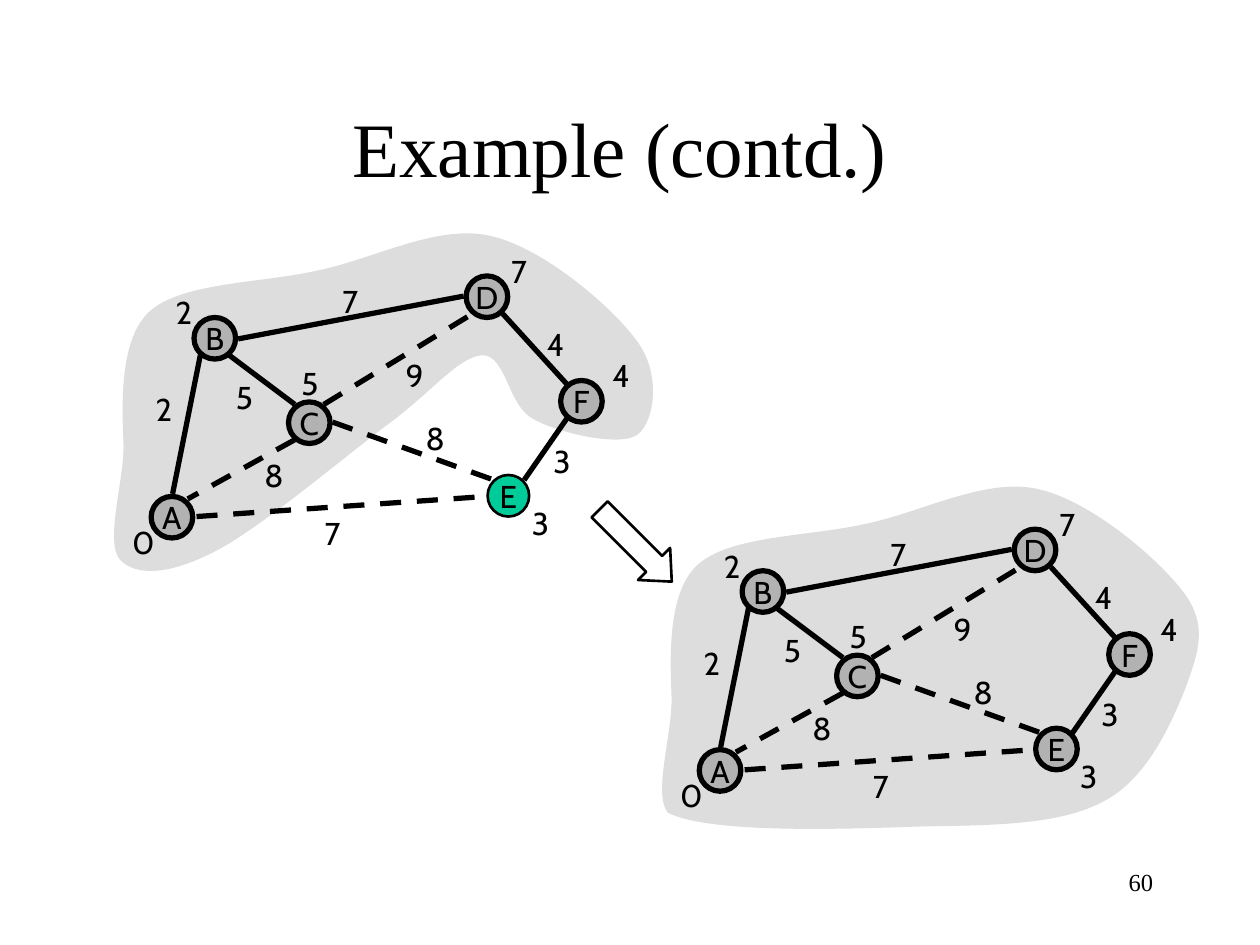
from lxml.etree import SubElement
from pptx import Presentation
from pptx.dml.color import RGBColor
from pptx.enum.dml import MSO_LINE
from pptx.enum.shapes import MSO_CONNECTOR, MSO_SHAPE
from pptx.enum.text import MSO_ANCHOR, MSO_AUTO_SIZE, PP_ALIGN
from pptx.oxml.ns import qn
from pptx.util import Inches, Pt

GRAPH_ORIGINS = [(0, 0), (4.35, 2.01)]
NODE_SIZE = 0.33

NODES = {
    "B": (1.54, 2.52),
    "D": (3.7, 2.19),
    "C": (2.29, 3.19),
    "A": (1.2, 3.94),
    "F": (4.45, 3.02),
    "E": (3.87, 3.77),
}
EDGES = [
    (1.82, 2.82, 2.34, 3.21, False),
    (2.34, 3.49, 1.49, 3.96, True),
    (1.59, 2.82, 1.37, 3.92, False),
    (2.64, 3.35, 3.92, 3.81, True),
    (1.56, 4.1, 3.86, 3.94, True),
    (1.89, 2.69, 3.68, 2.35, False),
    (2.57, 3.21, 3.75, 2.49, True),
    (4.5, 3.05, 3.99, 2.49, False),
    (4.16, 3.81, 4.5, 3.32, False),
]
EDGE_WEIGHTS = [
    ("7", 2.61, 2.19), ("4", 4.24, 2.53), ("2", 1.13, 3.05),
    ("8", 3.28, 3.28), ("5", 1.77, 2.95), ("7", 2.47, 4.03),
    ("3", 4.29, 3.46), ("9", 3.12, 2.78), ("8", 2, 3.57),
]
NODE_DISTANCES = [
    ("0", 0.95, 4.1), ("3", 4.12, 3.95), ("2", 1.29, 2.28),
    ("5", 2.29, 2.84), ("4", 4.76, 2.78), ("7", 3.95, 1.95),
]

CLOUD_START = (0.98, 3.52)
CLOUD_LEFT = [(0.99, 3.8), (0.83, 4.29), (0.95, 4.44)]
CLOUD_TOP = [
    (4.86, 2.44), (4.31, 1.96), (3.88, 1.87),
    (3.46, 1.78), (2.96, 2.06), (2.51, 2.15),
    (2.06, 2.25), (1.45, 2.24), (1.19, 2.47),
    (0.94, 2.69), (0.97, 3.24), CLOUD_START,
]
CLOUD_WITHOUT_E = [
    (1.08, 4.58), (1.35, 4.56), (1.7, 4.38),
    (2.06, 4.2), (2.74, 3.62), (3.09, 3.36),
    (3.44, 3.1), (3.64, 2.83), (3.83, 2.82),
    (4.02, 2.82), (4.03, 3.23), (4.24, 3.33),
    (4.44, 3.44), (4.93, 3.55), (5.06, 3.45),
    (5.2, 3.34), (5.25, 2.96), (5.05, 2.7),
]
CLOUD_WITH_E = [
    (1.28, 4.61), (2.38, 4.57), (2.95, 4.55),
    (3.53, 4.54), (4.06, 4.54), (4.41, 4.35),
    (4.76, 4.17), (4.95, 3.72), (5.06, 3.45),
    (5.16, 3.17), (5.24, 2.96), (5.05, 2.7),
]


def color(value):
    return RGBColor.from_string(value)


def write_text(shape, text, font="Cabin", size=18, align=PP_ALIGN.CENTER,
               anchor=MSO_ANCHOR.TOP, wrap=False):
    frame = shape.text_frame
    frame.word_wrap = wrap
    frame.vertical_anchor = anchor
    paragraph = frame.paragraphs[0]
    paragraph.alignment = align
    run = paragraph.add_run()
    run.text = text
    run.font.name = font
    run.font.size = Pt(size)
    run.font.color.rgb = color("000000")


def curve_outline(shape):
    segments = list(shape._element.iter(qn("a:lnTo")))
    for index in range(0, len(segments), 3):
        curve, *others = segments[index:index + 3]
        curve.tag = qn("a:cubicBezTo")
        for segment in others:
            curve.append(segment[0])
            segment.getparent().remove(segment)


class GraphSlide:
    ink = "000000"
    cloud_fill = "DDDDDD"
    visited_fill = "B2B2B2"
    next_fill = "00CC99"

    def __init__(self, slide):
        self.slide = slide
        self.origin = (0, 0)

    def place(self, x, y):
        return Inches(self.origin[0] + x), Inches(self.origin[1] + y)

    def outline(self, line, width):
        line.color.rgb = color(self.ink)
        line.width = Pt(width)

    def text(self, text, left, top, width, height, **style):
        shape = self.slide.shapes.add_textbox(
            *self.place(left, top), Inches(width), Inches(height))
        write_text(shape, text, **style)
        return shape

    def label(self, text, left, top):
        shape = self.text(text, left, top, 0.34, 0.4)
        shape.text_frame.auto_size = MSO_AUTO_SIZE.SHAPE_TO_FIT_TEXT

    def cloud(self, start, points):
        builder = self.slide.shapes.build_freeform(*self.place(*start))
        builder.add_line_segments([self.place(*point) for point in points])
        shape = builder.convert_to_shape()
        curve_outline(shape)
        shape.shadow.inherit = False
        shape.fill.solid()
        shape.fill.fore_color.rgb = color(self.cloud_fill)
        shape.line.fill.background()

    def node(self, name, left, top, visited):
        shape = self.slide.shapes.add_shape(
            MSO_SHAPE.OVAL, *self.place(left, top),
            Inches(NODE_SIZE), Inches(NODE_SIZE))
        shape.shadow.inherit = False
        shape.fill.solid()
        shape.fill.fore_color.rgb = color(
            self.visited_fill if visited else self.next_fill)
        self.outline(shape.line, 3 if visited else 1.5)
        write_text(shape, name, anchor=MSO_ANCHOR.MIDDLE)

    def edge(self, x1, y1, x2, y2, dashed):
        connector = self.slide.shapes.add_connector(
            MSO_CONNECTOR.STRAIGHT, *self.place(x1, y1), *self.place(x2, y2))
        self.outline(connector.line, 3)
        if dashed:
            connector.line.dash_style = MSO_LINE.DASH
        SubElement(connector._element.spPr, qn("a:effectLst"))

    def graph(self, origin, cloud_base, visited):
        self.origin = origin
        self.cloud(CLOUD_START, CLOUD_LEFT + cloud_base + CLOUD_TOP)
        for name, corner in NODES.items():
            self.node(name, *corner, name in visited)
        for edge in EDGES:
            self.edge(*edge)
        for label in EDGE_WEIGHTS + NODE_DISTANCES:
            self.label(*label)
        self.origin = (0, 0)

    def arrow(self, left, top, width, height, rotation):
        shape = self.slide.shapes.add_shape(
            MSO_SHAPE.RIGHT_ARROW, *self.place(left, top),
            Inches(width), Inches(height))
        shape.shadow.inherit = False
        shape.adjustments[0] = 0.5
        shape.adjustments[1] = 0.55
        shape.rotation = rotation
        shape.fill.background()
        self.outline(shape.line, 1.5)


def main():
    presentation = Presentation()
    presentation.slide_width = Inches(10)
    presentation.slide_height = Inches(7.5)
    slide = GraphSlide(
        presentation.slides.add_slide(presentation.slide_layouts[6]))
    slide.text("60", 7.17, 6.83, 2.08, 0.5, font="Times New Roman", size=14,
               align=PP_ALIGN.RIGHT, wrap=True)
    slide.text("Example (contd.)", 0.67, 0.33, 8.5, 1.25,
               font="Times New Roman", size=44, anchor=MSO_ANCHOR.BOTTOM,
               wrap=True)
    slide.graph(GRAPH_ORIGINS[0], CLOUD_WITHOUT_E, "ABCDF")
    slide.graph(GRAPH_ORIGINS[1], CLOUD_WITH_E, "ABCDEF")
    slide.arrow(4.64, 4.15, 0.81, 0.36, 45)
    presentation.save("out.pptx")


if __name__ == "__main__":
    main()
